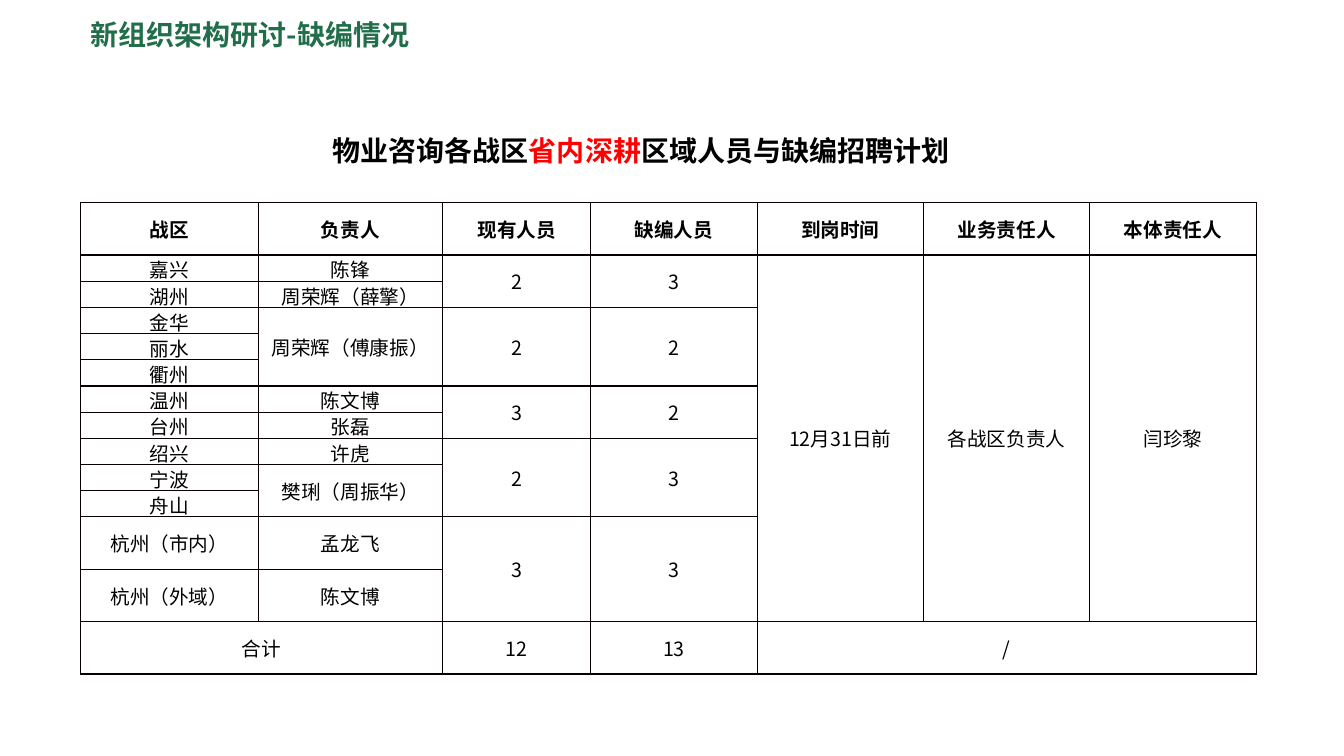
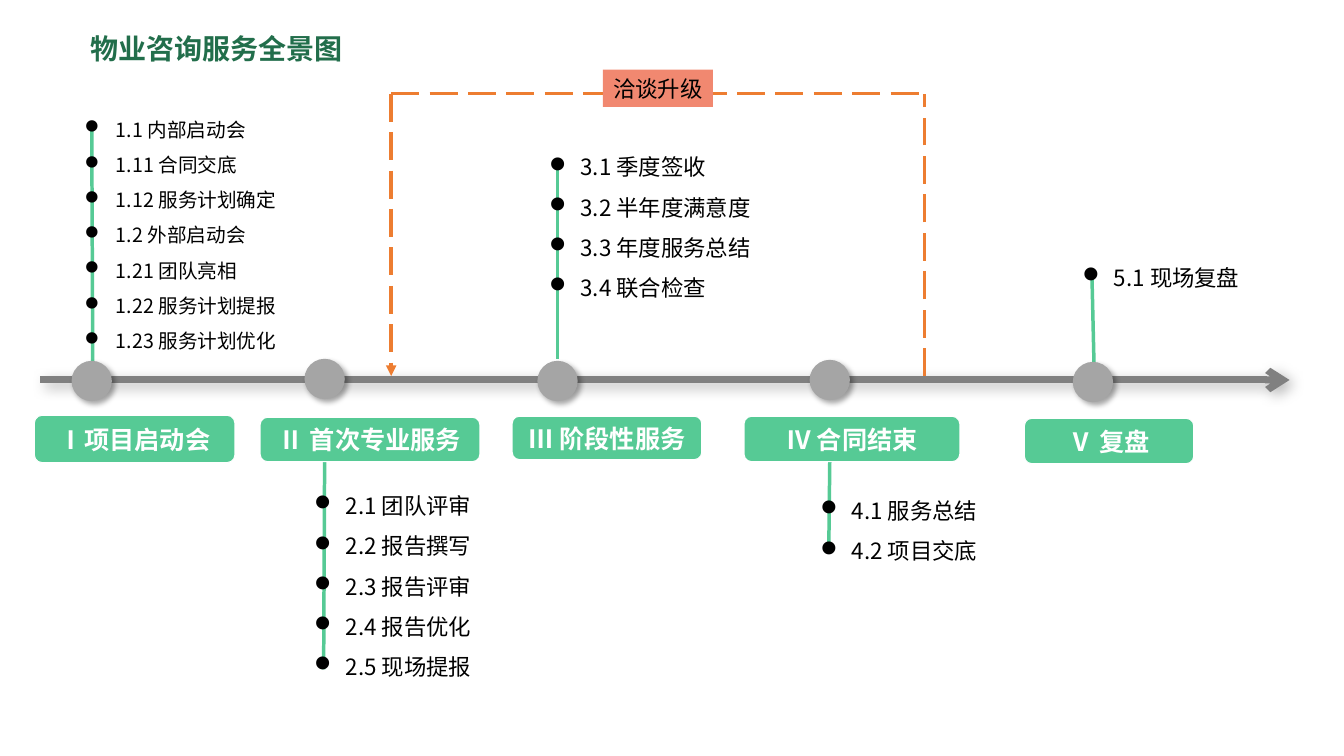
from lxml import etree
from pptx import Presentation
from pptx import util as u
from pptx.dml.color import RGBColor
from pptx.enum import dml, shapes, text
from pptx.oxml.ns import qn

PX = 9144  # 100 px to the inch
FONT = "Noto Sans CJK SC"
DARK_GREEN, GREEN, ORANGE, SALMON = "226E4B", "56CA95", "ED7D31", "F18870"
GREY, AXIS_GREY, RED, BLACK, WHITE = "A5A5A5", "808080", "FF0000", "000000", "FFFFFF"
CENTER, LEFT = text.PP_ALIGN.CENTER, text.PP_ALIGN.LEFT

COLUMNS = [176, 183, 147, 165, 165, 165, 165]
ROWS = [52] + [26] * 10 + [52] * 3
HEADINGS = ["战区", "负责人", "现有人员", "缺编人员", "到岗时间", "业务责任人", "本体责任人"]
AREAS = ["嘉兴", "湖州", "金华", "丽水", "衢州", "温州", "台州", "绍兴", "宁波", "舟山",
         "杭州（市内）", "杭州（外域）"]
LEADERS = [("陈锋", 1), ("周荣辉（薛擎）", 1), ("周荣辉（傅康振）", 3), ("陈文博", 1), ("张磊", 1),
           ("许虎", 1), ("樊琍（周振华）", 2), ("孟龙飞", 1), ("陈文博", 1)]
PRESENT = [("2", 2), ("2", 3), ("3", 2), ("2", 3), ("3", 2)]
MISSING = [("3", 2), ("2", 3), ("2", 2), ("3", 3), ("3", 2)]
TOTALS = [("合计", 2), ("12", 1), ("13", 1), ("/", 3)]

# label, label box, node corner, stem ends, list box, list size, list items
STAGES = [
    ("Ⅰ项目启动会", (34, 412, 199, 47), (71, 358), (91, 123, 92, 358),
     (74, 100, 265, 257), 14,
     ["1.1 内部启动会", "1.11 合同交底", "1.12 服务计划确定", "1.2 外部启动会",
      "1.21 团队亮相", "1.22 服务计划提报", "1.23 服务计划优化"]),
    ("Ⅱ 首次专业服务", (258, 414, 218, 44), (302, 356), (322, 454, 321, 664),
     (302, 470, 221, 212), 16,
     ["2.1 团队评审", "2.2 报告撰写", "2.3 报告评审", "2.4 报告优化", "2.5 现场提报"]),
    ("Ⅲ 阶段性服务", (508, 413, 188, 43), (533, 358), (553, 164, 553, 356),
     (535, 134, 269, 172), 16,
     ["3.1 季度签收", "3.2 半年度满意度", "3.3 年度服务总结", "3.4 联合检查"]),
    ("Ⅳ 合同结束", (738, 413, 214, 45), (803, 357), (823, 456, 822, 548),
     (804, 475, 211, 91), 16, ["4.1 服务总结", "4.2 项目交底"]),
    ("Ⅴ 复盘", (1016, 415, 168, 45), (1064, 359), (1083, 273, 1085, 359),
     (1064, 244, 215, 50), 16, ["5.1 现场复盘"]),
]


def px(*lengths):
    return [u.Emu(length * PX) for length in lengths]


def rgb(color):
    return RGBColor.from_string(color)


def add_xml(parent, tag, **attributes):
    return etree.SubElement(parent, qn(tag), attributes)


def add_span(para, words, size=14, color=BLACK, bold=False):
    span = para.add_run()
    span.text = words
    span.font.size = u.Pt(size)
    span.font.bold = bold
    span.font.color.rgb = rgb(color)
    span.font.name = FONT
    add_xml(span.font._element, "a:ea", typeface=FONT)


def write(frame, words, align=CENTER, **font):
    para = frame.paragraphs[0]
    para.alignment = align
    add_span(para, words, **font)


def add_text_box(page, box):
    frame = page.shapes.add_textbox(*px(*box)).text_frame
    frame.word_wrap = True
    return frame


def add_title(page, box, words):
    write(add_text_box(page, box), words, LEFT, size=20, color=DARK_GREEN, bold=True)


def set_effects(shape, blur=0, alpha=0):
    """Drop the theme shadow; with a blur, cast a soft one to the lower right."""
    properties = shape.element.spPr
    effects = properties.find(qn("a:effectLst"))
    if effects is None:
        effects = add_xml(properties, "a:effectLst")
    if blur:
        shadow = add_xml(effects, "a:outerShdw", blurRad=str(u.Pt(blur)), dist=str(u.Pt(3)),
                         dir=str(45 * 60000), algn="tl", rotWithShape="0")
        ink = add_xml(shadow, "a:srgbClr", val=BLACK)
        add_xml(ink, "a:alpha", val=str(alpha * 1000))


def add_shape(page, kind, box, fill, outline=None):
    shape = page.shapes.add_shape(kind, *px(*box))
    shape.fill.solid()
    shape.fill.fore_color.rgb = rgb(fill)
    if outline:
        shape.line.color.rgb = rgb(outline)
        shape.line.width = u.Pt(0.75)
    else:
        shape.line.fill.background()
    shape.shadow.inherit = False
    return shape


def add_label(page, kind, box, words, fill, outline=None, **font):
    frame = add_shape(page, kind, box, fill, outline).text_frame
    frame.vertical_anchor = text.MSO_ANCHOR.MIDDLE
    frame.word_wrap = True
    write(frame, words, **font)


def add_line(page, ends, color, width=2.5, dashed=False, arrow=None, **shadow):
    line = page.shapes.add_connector(shapes.MSO_CONNECTOR.STRAIGHT, *px(*ends))
    line.line.color.rgb = rgb(color)
    line.line.width = u.Pt(width)
    if dashed:
        line.line.dash_style = dml.MSO_LINE.LONG_DASH
    if arrow:
        add_xml(line.line._ln, "a:tailEnd", type=arrow)
    set_effects(line, **shadow)


def add_list(page, box, size, items):
    frame = add_text_box(page, box)
    indent = 31 * PX
    for index, item in enumerate(items):
        para = frame.add_paragraph() if index else frame.paragraphs[0]
        para.line_spacing = 1.5
        add_span(para, item, size=size)
        properties = para._p.get_or_add_pPr()
        properties.set("marL", str(indent))
        properties.set("indent", str(-indent))
        add_xml(properties, "a:buFont", typeface="Wingdings", charset="2")
        add_xml(properties, "a:buChar", char="l")


def style_cell(cell):
    cell.margin_left = cell.margin_right = u.Emu(7 * PX)
    cell.margin_top = cell.margin_bottom = 0
    cell.vertical_anchor = text.MSO_ANCHOR.MIDDLE
    properties = cell._tc.get_or_add_tcPr()
    for side in "LRTB":
        border = add_xml(properties, f"a:ln{side}", w=str(u.Pt(1)))
        add_xml(add_xml(border, "a:solidFill"), "a:srgbClr", val="080000")
    cell.fill.background()


def fill_cell(table, row, column, words, down=1, across=1, bold=False):
    cell = table.cell(row, column)
    if down > 1 or across > 1:
        cell.merge(table.cell(row + down - 1, column + across - 1))
    write(cell.text_frame, words, bold=bold)


def add_staff_table(page, left, top):
    frame = page.shapes.add_table(len(ROWS), len(COLUMNS),
                                  *px(left, top, sum(COLUMNS), sum(ROWS)))
    table = frame.table
    table.first_row = table.horz_banding = False
    for column, width in zip(table.columns, COLUMNS):
        column.width = u.Emu(width * PX)
    for row, height in zip(table.rows, ROWS):
        row.height = u.Emu(height * PX)
    for cell in table.iter_cells():
        style_cell(cell)
    for column, heading in enumerate(HEADINGS):
        fill_cell(table, 0, column, heading, bold=True)
    whole = [[(words, len(AREAS))] for words in ("12月31日前", "各战区负责人", "闫珍黎")]
    groups = [[(area, 1) for area in AREAS], LEADERS, PRESENT, MISSING, *whole]
    for column, entries in enumerate(groups):
        row = 1
        for words, down in entries:
            fill_cell(table, row, column, words, down=down)
            row += down
    column = 0
    for words, across in TOTALS:
        fill_cell(table, len(ROWS) - 1, column, words, across=across)
        column += across


def build_staff_page(page):
    add_title(page, (80, 12, 367, 44), "新组织架构研讨-缺编情况")
    add_staff_table(page, 80, 201)
    para = add_text_box(page, (276, 128, 720, 44)).paragraphs[0]
    para.alignment = CENTER
    for words, color in (("物业咨询各战区", BLACK), ("省内深耕", RED),
                         ("区域人员与缺编招聘计划", BLACK)):
        add_span(para, words, size=20, color=color, bold=True)


def add_stage(page, label, label_box, node, list_box, size, items):
    add_label(page, shapes.MSO_SHAPE.ROUNDED_RECTANGLE, label_box, label, GREEN, WHITE,
              size=18, color=WHITE, bold=True)
    circle = add_shape(page, shapes.MSO_SHAPE.OVAL, (*node, 40, 40), GREY)
    set_effects(circle, blur=4, alpha=35)
    add_list(page, list_box, size, items)


def add_upgrade_loop(page, left, top, right, bottom):
    add_line(page, (right, bottom, right, top), ORANGE, dashed=True)
    add_line(page, (left, top, left, bottom), ORANGE, dashed=True, arrow="triangle")
    add_line(page, (left, top, right, top), ORANGE, dashed=True)
    width = 109
    add_label(page, shapes.MSO_SHAPE.RECTANGLE,
              ((left + right - width) // 2, top - 24, width, 37), "洽谈升级", SALMON, size=16)


def build_service_page(page):
    for stage in STAGES:
        add_line(page, stage[3], GREEN)
    add_line(page, (40, 377, 1279, 377), AXIS_GREY, 5, arrow="arrow", blur=9, alpha=27)
    for label, label_box, node, _, list_box, size, items in STAGES:
        add_stage(page, label, label_box, node, list_box, size, items)
    add_title(page, (80, 26, 313, 44), "物业咨询服务全景图")
    add_upgrade_loop(page, 388, 93, 917, 373)


def main():
    deck = Presentation()
    deck.slide_width, deck.slide_height = px(1333, 750)
    blank = deck.slide_layouts[6]
    for build in (build_staff_page, build_service_page):
        build(deck.slides.add_slide(blank))
    deck.save("out.pptx")


if __name__ == "__main__":
    main()
